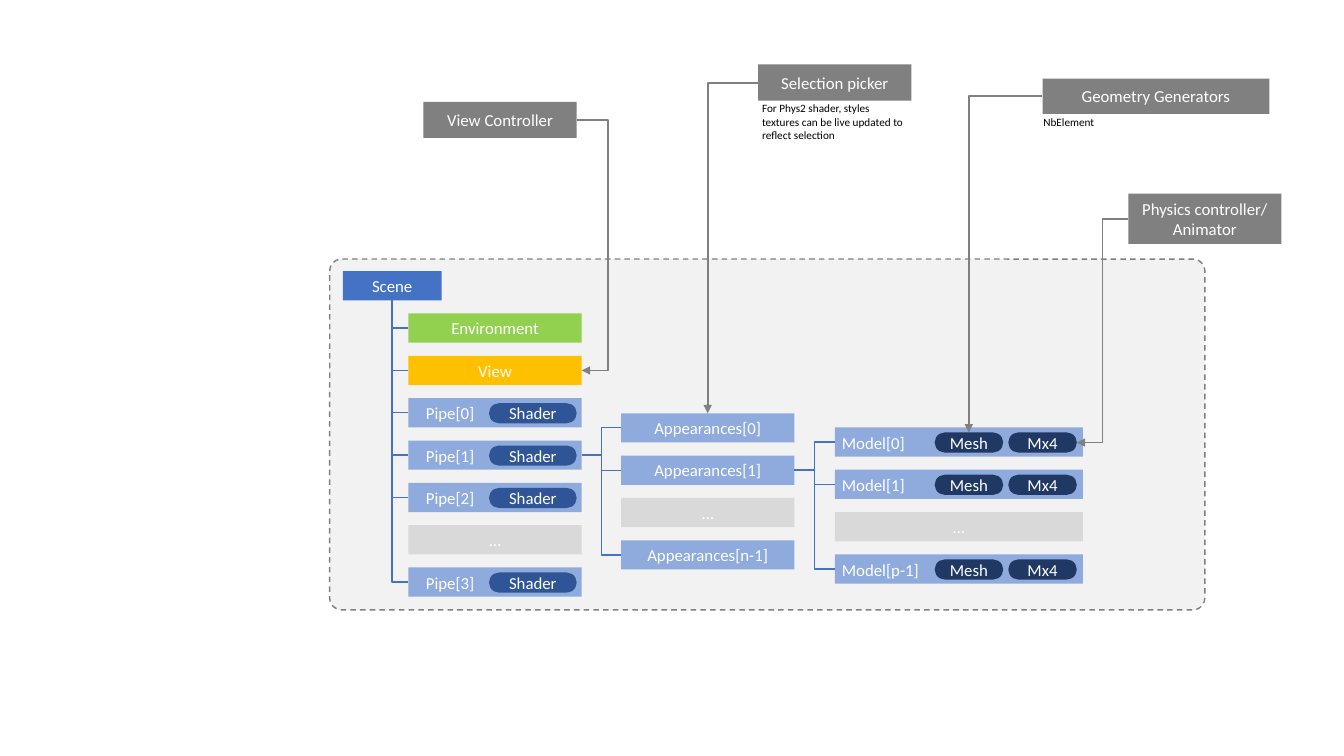
from lxml import etree
from pptx import Presentation
from pptx import util as u
from pptx.dml.color import RGBColor
from pptx.enum import dml, shapes, text
from pptx.oxml import ns

SLIDE_W, SLIDE_H = 13.33, 7.5
ROW, BAR_H, PILL_H, PILL_DROP = 0.42, 0.29, 0.2, 0.05
VIEW_LANE = 6.03
FONT = {"name": "Calibri", "size": u.Pt(12)}
COLORS = {
    "panel": "F2F2F2", "gray": "808080", "blue": "4472C4", "green": "92D050",
    "gold": "FFC000", "bar": "8FAADC", "more": "D9D9D9", "shader": "2F5597",
    "navy": "203864", "white": "FFFFFF", "black": "000000",
}
PANEL = (3.27, 2.57, 8.68, 3.48)
SCENE = ("Scene", 3.4, 2.69, 0.98, BAR_H)
COLUMNS = [
    {"left": 4.05, "top": 3.11, "width": 1.72, "label": (0.06, 0.71, "CENTER"),
     "pills": [("Shader", 0.8, 0.87, "shader")],
     "rows": [("Environment", "green"), ("View", "gold"), ("Pipe[0]", "bar"),
              ("Pipe[1]", "bar"), ("Pipe[2]", "bar"), ("…", "more"), ("Pipe[3]", "bar")]},
    {"left": 6.16, "top": 4.1, "width": 1.72, "label": None, "pills": [],
     "rows": [("Appearances[0]", "bar"), ("Appearances[1]", "bar"), ("…", "more"),
              ("Appearances[n-1]", "bar")]},
    {"left": 8.28, "top": 4.24, "width": 2.46, "label": (0.07, 0.89, "LEFT"),
     "pills": [("Mesh", 0.99, 0.68, "navy"), ("Mx4", 1.72, 0.68, "navy")],
     "rows": [("Model[0]", "bar"), ("Model[1]", "bar"), ("…", "more"), ("Model[p-1]", "bar")]},
]
CONTROLLERS = [
    ("View Controller", 4.2, 1.01, 1.52, 0.36),
    ("Selection picker", 7.52, 0.64, 1.52, 0.36),
    ("Geometry Generators", 10.34, 0.78, 2.25, 0.35),
    ("Physics controller/ Animator", 11.19, 1.92, 1.52, 0.5),
]
NOTES = [
    ("For Phys2 shader, styles textures can be live updated to reflect selection",
     7.46, 0.96, 1.64, 0.5),
    ("NbElement", 10.25, 1.1, 1.64, 0.24),
]
TOP, LEFT, BOTTOM, RIGHT = range(4)
BRANCHES = [("Pipe[1]", COLUMNS[1]), ("Appearances[1]", COLUMNS[2])]
ARROWS = [
    ("View Controller", RIGHT, "View", RIGHT, 3, VIEW_LANE),
    ("Selection picker", LEFT, "Appearances[0]", TOP, 2, None),
    ("Geometry Generators", LEFT, "Model[0] Mesh", TOP, 2, None),
    ("Physics controller/ Animator", LEFT, "Model[0] Mx4", RIGHT, 3, None),
]

prs = Presentation()
prs.slide_width, prs.slide_height = u.Inches(SLIDE_W), u.Inches(SLIDE_H)
s = prs.slides.add_slide(prs.slide_layouts[6])
nodes = {}


def rgb(color):
    return RGBColor.from_string(COLORS[color])


def write(sp, words, color="white", align="CENTER", **changes):
    tf = sp.text_frame
    tf.word_wrap = True
    p = tf.paragraphs[0]
    p.alignment = getattr(text.PP_ALIGN, align)
    r = p.add_run()
    r.text = words
    for name, value in {**FONT, **changes}.items():
        setattr(r.font, name, value)
    r.font.color.rgb = rgb(color)
    return tf


def box(words, x, y, w, h, fill, kind="RECTANGLE", corner=None):
    sp = s.shapes.add_shape(getattr(shapes.MSO_SHAPE, kind), *map(u.Inches, (x, y, w, h)))
    sp.shadow.inherit = False
    sp.fill.solid()
    sp.fill.fore_color.rgb = rgb(fill)
    sp.line.fill.background()
    if corner is not None:
        sp.adjustments[0] = corner
    if words:
        write(sp, words).vertical_anchor = text.MSO_ANCHOR.MIDDLE
    return sp


def text_box(words, x, y, w, h, **style):
    sp = s.shapes.add_textbox(*map(u.Inches, (x, y, w, h)))
    return write(sp, words, **style)


def elbow(start, start_side, end, end_side, bends, color="blue", width=1, lane=None, arrow=False):
    c = s.shapes.add_connector(shapes.MSO_CONNECTOR.ELBOW, 0, 0, 0, 0)
    c.begin_connect(start, start_side)
    c.end_connect(end, end_side)
    c.line.color.rgb = rgb(color)
    c.line.width = u.Pt(width)
    pr = c._element.spPr
    geom = pr.find(ns.qn("a:prstGeom"))
    geom.set("prst", f"bentConnector{bends}")
    if lane is not None:
        share = (u.Inches(lane) - c.begin_x) / (c.end_x - c.begin_x)
        guides = geom.find(ns.qn("a:avLst"))
        etree.SubElement(guides, ns.qn("a:gd"), name="adj1", fmla=f"val {round(share * 100000)}")
    if arrow:
        etree.SubElement(pr.find(ns.qn("a:ln")), ns.qn("a:tailEnd"), type="triangle")
    etree.SubElement(pr, ns.qn("a:effectLst"))


def build_column(col):
    bars = []
    for i, (words, fill) in enumerate(col["rows"]):
        y = col["top"] + i * ROW
        has_pills = fill == "bar" and col["pills"]
        bar = box("" if has_pills else words, col["left"], y, col["width"], BAR_H, fill)
        nodes[words] = bar
        if fill != "more":
            bars.append(bar)
        if has_pills:
            dx, w, align = col["label"]
            tf = text_box(words, col["left"] + dx, y + PILL_DROP, w, PILL_H, align=align)
            for side in ("left", "top", "right", "bottom"):
                setattr(tf, f"margin_{side}", 0)
            for name, dx, w, color in col["pills"]:
                nodes[f"{words} {name}"] = box(name, col["left"] + dx, y + PILL_DROP, w, PILL_H,
                                               color, "ROUNDED_RECTANGLE", 0.5)
    col["bars"] = bars


panel = box("", *PANEL, "panel", "ROUNDED_RECTANGLE", 0.034)
panel.line.color.rgb = rgb("gray")
panel.line.width = u.Pt(1)
panel.line.dash_style = dml.MSO_LINE.DASH

scene = box(*SCENE, "blue")
for col in COLUMNS:
    build_column(col)
for controller in CONTROLLERS:
    nodes[controller[0]] = box(*controller, "gray")
for note in NOTES:
    text_box(*note, color="black", align="LEFT", size=u.Pt(8))

for bar in COLUMNS[0]["bars"]:
    elbow(bar, LEFT, scene, BOTTOM, 2)
for parent, col in BRANCHES:
    for bar in col["bars"]:
        elbow(nodes[parent], RIGHT, bar, LEFT, 3)
for start, start_side, end, end_side, bends, lane in ARROWS:
    elbow(nodes[start], start_side, nodes[end], end_side, bends, "gray", 1.25, lane, True)

prs.save("out.pptx")
